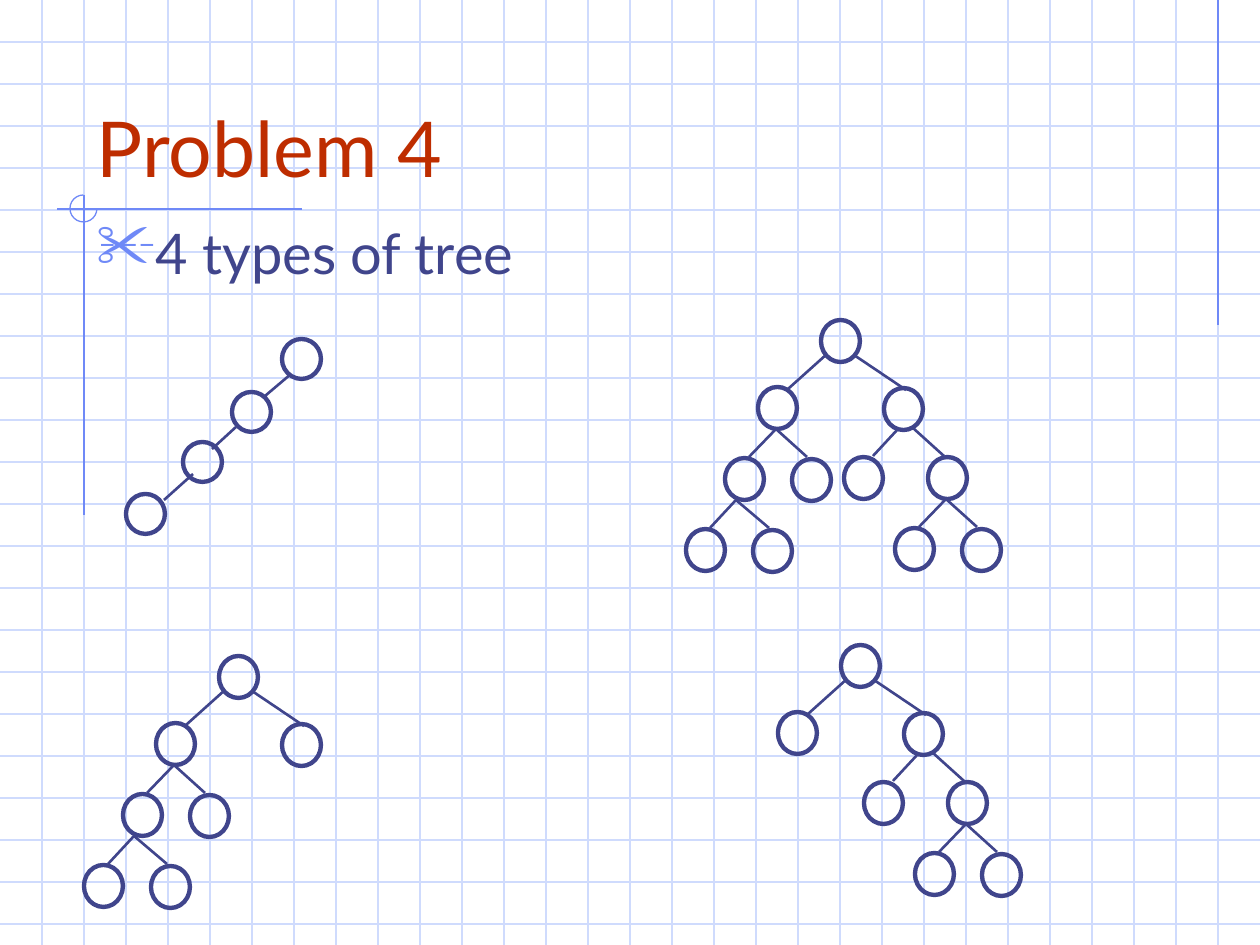
"""Build the "Problem 4" slide: four binary trees on squared paper."""
from dataclasses import dataclass
from typing import NamedTuple, Optional

from lxml.etree import SubElement
from pptx import Presentation
from pptx.dml.color import RGBColor
from pptx.enum.shapes import MSO_CONNECTOR, MSO_SHAPE
from pptx.enum.text import MSO_ANCHOR, MSO_AUTO_SIZE, PP_ALIGN
from pptx.oxml.ns import qn
from pptx.shapes.autoshape import Shape
from pptx.slide import Slide
from pptx.text.text import TextFrame
from pptx.util import Emu, Inches, Pt

PIXELS_PER_INCH = 126
SLIDE_WIDTH, SLIDE_HEIGHT = 1260, 945
GRID_STEP = 42


@dataclass(frozen=True)
class Theme:
    """Colours, font, type sizes and line widths in points."""
    font: str = "Lato"
    title: str = "BE2D00"
    ink: str = "40458C"
    accent: str = "6F89F7"
    grid: str = "CFDBFD"
    title_size: int = 44
    body_size: int = 32
    thin: float = 0.75
    edge: float = 1.5
    outline: float = 2.5


THEME = Theme()


class Point(NamedTuple):
    """A position or an offset in px."""
    x: int
    y: int

    def shifted(self, offset: "Point") -> "Point":
        """Return this point moved by an offset."""
        return Point(self.x + offset.x, self.y + offset.y)


class Segment(NamedTuple):
    """A straight line between two points."""
    start: Point
    end: Point


class Branch(NamedTuple):
    """A child's offset and the edge to it, from its parent's corner."""
    child: Point
    edge: Segment


class Fork(NamedTuple):
    """The two branches below a node."""
    left: Branch
    right: Branch


@dataclass(frozen=True)
class Tree:
    """A node with a fork and the subtrees that continue below it."""
    fork: Fork
    left: Optional["Tree"] = None
    right: Optional["Tree"] = None


WIDE = Fork(
    Branch(Point(-63, 67), Segment(Point(6, 34), Point(-33, 69))),
    Branch(Point(63, 68), Segment(Point(33, 35), Point(85, 70))),
)
NARROW = Fork(
    Branch(Point(-33, 71), Segment(Point(18, 42), Point(-9, 70))),
    Branch(Point(34, 72), Segment(Point(18, 42), Point(49, 70))),
)
SLANTED = Fork(
    Branch(Point(-40, 69), Segment(Point(15, 40), Point(-11, 68))),
    Branch(Point(44, 69), Segment(Point(29, 40), Point(60, 68))),
)
LOW = Fork(
    Branch(Point(-39, 71), Segment(Point(11, 42), Point(-15, 70))),
    Branch(Point(28, 72), Segment(Point(11, 42), Point(44, 70))),
)
LEFT_SIDE = Tree(NARROW, left=Tree(LOW))
RIGHT_SIDE = Tree(SLANTED, right=Tree(NARROW))
TREES = (
    (Point(821, 320), Tree(WIDE, LEFT_SIDE, RIGHT_SIDE)),
    (Point(219, 656), Tree(WIDE, left=LEFT_SIDE)),
    (Point(841, 645), Tree(WIDE, right=RIGHT_SIDE)),
)
NODE_SIZE = Point(39, 42)
CHAIN_NODE_SIZE = Point(39, 40)
CHAIN_NODES = (Point(282, 339), Point(232, 392), Point(183, 442), Point(126, 494))
CHAIN_EDGES = (
    Segment(Point(291, 374), Point(265, 396)),
    Segment(Point(236, 427), Point(212, 449)),
    Segment(Point(193, 474), Point(164, 500)),
)
RULES = (
    Segment(Point(1218, 0), Point(1218, 325)),
    Segment(Point(302, 209), Point(57, 209)),
    Segment(Point(84, 195), Point(84, 515)),
)


def px(length: int) -> Emu:
    """Turn px into EMU."""
    return Emu(round(length * Inches(1) / PIXELS_PER_INCH))


def draw_line(slide: Slide, segment: Segment, color: str, width: float) -> None:
    """Draw a straight line without a shadow."""
    start, end = segment
    connector = slide.shapes.add_connector(
        MSO_CONNECTOR.STRAIGHT, px(start.x), px(start.y), px(end.x), px(end.y))
    connector.line.color.rgb = RGBColor.from_string(color)
    connector.line.width = Pt(width)
    SubElement(connector.element.spPr, qn("a:effectLst"))


def draw_outline(slide: Slide, kind: MSO_SHAPE, corner: Point, size: Point,
                 color: str, width: float) -> Shape:
    """Draw an unfilled preset shape."""
    shape = slide.shapes.add_shape(
        kind, px(corner.x), px(corner.y), px(size.x), px(size.y))
    shape.shadow.inherit = False
    shape.fill.background()
    shape.line.color.rgb = RGBColor.from_string(color)
    shape.line.width = Pt(width)
    return shape


def draw_node(slide: Slide, corner: Point, size: Point = NODE_SIZE) -> None:
    """Draw one tree node."""
    draw_outline(slide, MSO_SHAPE.OVAL, corner, size, THEME.ink, THEME.outline)


def draw_tree(slide: Slide, corner: Point, tree: Optional[Tree]) -> None:
    """Draw a node and everything below it."""
    if tree:
        for branch, subtree in zip(tree.fork, (tree.left, tree.right)):
            edge = Segment(*(corner.shifted(end) for end in branch.edge))
            draw_line(slide, edge, THEME.ink, THEME.edge)
            draw_tree(slide, corner.shifted(branch.child), subtree)
    draw_node(slide, corner)


def draw_background(slide: Slide) -> None:
    """Draw the squared paper and the accent rules."""
    rows = [Segment(Point(0, y), Point(SLIDE_WIDTH, y))
            for y in range(GRID_STEP, SLIDE_HEIGHT, GRID_STEP)]
    columns = [Segment(Point(x, 0), Point(x, SLIDE_HEIGHT))
               for x in range(GRID_STEP, SLIDE_WIDTH, GRID_STEP)]
    for segment in rows + columns:
        draw_line(slide, segment, THEME.grid, THEME.thin)
    for segment in RULES:
        draw_line(slide, segment, THEME.accent, THEME.thin)
    arc = draw_outline(slide, MSO_SHAPE.ARC, Point(70, 195), Point(27, 27),
                       THEME.accent, THEME.thin)
    arc.adjustments[0], arc.adjustments[1] = 0, 162


def write(frame: TextFrame, text: str, size: int, color: str) -> None:
    """Write one left-aligned paragraph into a text frame."""
    frame.text = text
    frame.word_wrap = True
    frame.auto_size = MSO_AUTO_SIZE.NONE
    paragraph = frame.paragraphs[0]
    paragraph.alignment = PP_ALIGN.LEFT
    font = paragraph.runs[0].font
    font.name, font.size = THEME.font, Pt(size)
    font.color.rgb = RGBColor.from_string(color)


def add_title(slide: Slide) -> None:
    """Place the title in front of the background."""
    title = slide.shapes.title
    title.left, title.top, title.width, title.height = map(px, (84, 42, 1071, 157))
    write(title.text_frame, "Problem 4", THEME.title_size, THEME.title)
    title.text_frame.vertical_anchor = MSO_ANCHOR.BOTTOM
    title.element.getparent().append(title.element)


def add_body(slide: Slide) -> None:
    """Add the line with the scissors bullet."""
    frame = slide.shapes.add_textbox(*map(px, (84, 212, 1071, 95))).text_frame
    write(frame, "4 types of tree", THEME.body_size, THEME.ink)
    paragraph = frame.paragraphs[0]
    paragraph.space_before = Pt(8)
    properties = paragraph.runs[0].font and paragraph.element.get_or_add_pPr() \
        if hasattr(paragraph, "element") else frame.paragraphs[0]._p.get_or_add_pPr()
    properties.set("marL", str(px(48)))
    properties.set("indent", str(px(-48)))
    color = SubElement(properties, qn("a:buClr"))
    SubElement(color, qn("a:srgbClr"), val=THEME.accent)
    SubElement(properties, qn("a:buSzPct"), val="110000")
    SubElement(properties, qn("a:buChar"), char="✂")


def main() -> None:
    """Build and save the presentation."""
    presentation = Presentation()
    presentation.slide_width, presentation.slide_height = px(SLIDE_WIDTH), px(SLIDE_HEIGHT)
    slide = presentation.slides.add_slide(presentation.slide_layouts[5])
    draw_background(slide)
    add_title(slide)
    add_body(slide)
    for edge in CHAIN_EDGES:
        draw_line(slide, edge, THEME.ink, THEME.edge)
    for corner in CHAIN_NODES:
        draw_node(slide, corner, CHAIN_NODE_SIZE)
    for corner, tree in TREES:
        draw_tree(slide, corner, tree)
    presentation.save("out.pptx")


if __name__ == "__main__":
    main()
